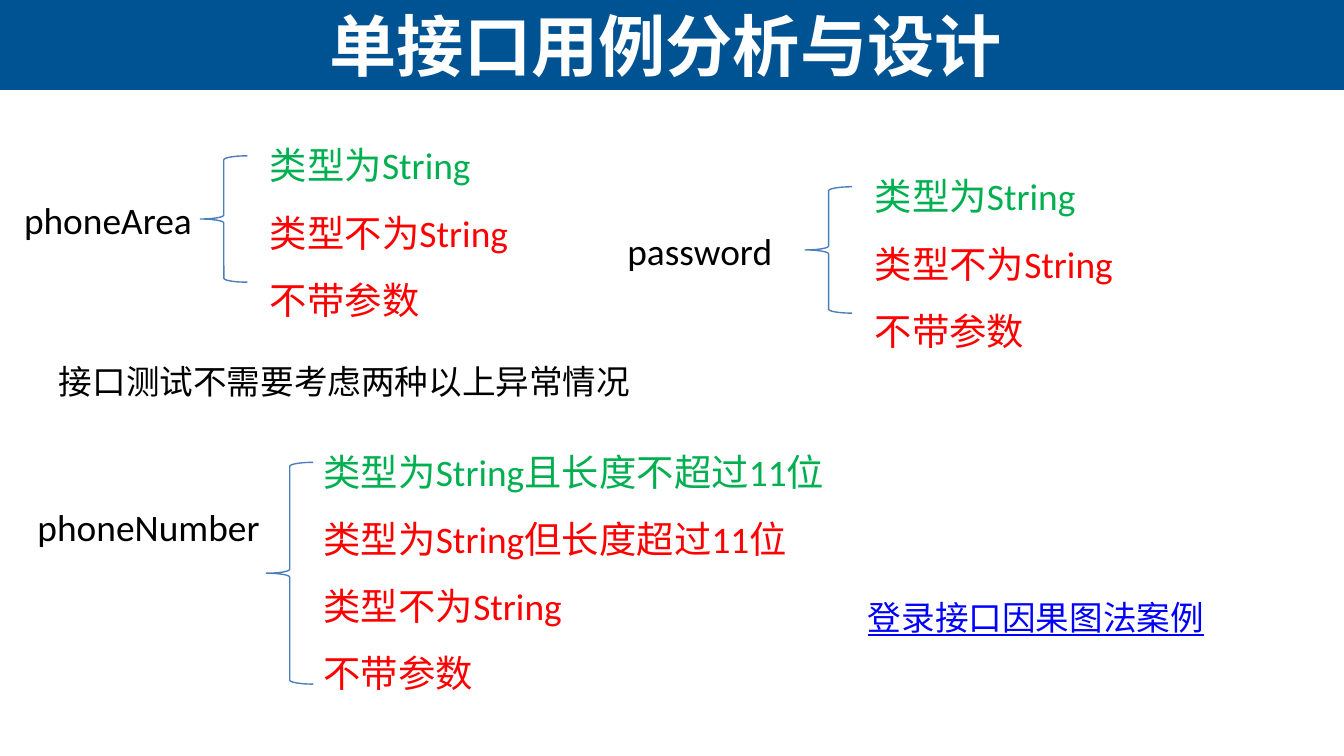
from pptx import Presentation
from pptx.dml.color import RGBColor
from pptx.enum.shapes import MSO_SHAPE
from pptx.enum.text import MSO_ANCHOR, PP_ALIGN
from pptx.util import Pt

COLORS = {"bar": "005392", "white": "FFFFFF", "black": "000000", "brace": "4B7EBC",
          "valid": "00B050", "invalid": "FF0000", "link": "0000FF"}

TITLE = "单接口用例分析与设计"
BASIC_CASES = ["类型为String", "类型不为String", "不带参数"]
NUMBER_CASES = ["类型为String且长度不超过11位", "类型为String但长度超过11位",
                "类型不为String", "不带参数"]

# parameter, label left, label top, brace left, cases left, cases width, cases
# (the first case is the valid one)
GROUPS = [
    ("phoneArea", 5.8, 102.2, 107.3, 137.5, 211, BASIC_CASES),
    ("phoneNumber", 13, 266.4, 142.6, 166.3, 319, NUMBER_CASES),
    ("password", 329, 118.8, 431.3, 461.5, 211, BASIC_CASES),
]
# text, left, top, width, colour, underline
NOTES = [
    ("登录接口因果图法案例", 457.9, 316.1, 196.6, "link", True),
    ("接口测试不需要考虑两种以上异常情况", 24.5, 190.1, 323.3, "black", False),
]

LABEL_W, LABEL_H = 153.4, 31.5
BRACE_W, BRACE_RISE = 25.2, 18.7   # brace starts this far above its label
CASES_RISE = 41.4                  # cases start this far above their label
CASE_H = 36
BRACE_H = {3: 67.7, 4: 118.8}      # by number of cases


def rgb(name):
    return RGBColor.from_string(COLORS[name])


def add_text(s, x, y, w, h, lines, size, font="Calibri", wrap=True, spacing=None):
    """Add a text box; lines are (text, colour) pairs."""
    tf = s.shapes.add_textbox(Pt(x), Pt(y), Pt(w), Pt(h)).text_frame
    tf.word_wrap = wrap
    for i, (text, color) in enumerate(lines):
        p = tf.add_paragraph() if i else tf.paragraphs[0]
        p.text = text
        p.line_spacing = spacing
        p.font.size = Pt(size)
        p.font.name = font
        p.font.color.rgb = rgb(color)
    return tf


def add_group(s, name, x, y, brace_x, cases_x, cases_w, cases):
    add_text(s, x, y, LABEL_W, LABEL_H, [(name, "black")], 20)
    brace = s.shapes.add_shape(MSO_SHAPE.LEFT_BRACE, Pt(brace_x), Pt(y - BRACE_RISE),
                               Pt(BRACE_W), Pt(BRACE_H[len(cases)]))
    brace.shadow.inherit = False
    brace.fill.background()
    brace.line.color.rgb = rgb("brace")
    brace.line.width = Pt(0.75)
    lines = [(c, "invalid" if i else "valid") for i, c in enumerate(cases)]
    add_text(s, cases_x, y - CASES_RISE, cases_w, len(cases) * CASE_H + 8.6,
             lines, 20, spacing=1.5)


prs = Presentation()
prs.slide_width, prs.slide_height = Pt(720), Pt(405)
s = prs.slides.add_slide(prs.slide_layouts[6])

# Title bar
bar = s.shapes.add_shape(MSO_SHAPE.RECTANGLE, 0, 0, prs.slide_width, Pt(48.2))
bar.shadow.inherit = False
bar.fill.solid()
bar.fill.fore_color.rgb = rgb("bar")
bar.line.fill.background()
tf = add_text(s, 1.4, 0, 710.6, 48.2, [(TITLE, "white")], 36, "Arial")
tf.vertical_anchor = MSO_ANCHOR.MIDDLE
p = tf.paragraphs[0]
p.alignment = PP_ALIGN.CENTER
p.font.bold = True

# Parameters with their cases
for group in GROUPS:
    add_group(s, *group)

# Notes
for text, x, y, w, color, underline in NOTES:
    tf = add_text(s, x, y, w, 28.8, [(text, color)], 18, wrap=False)
    if underline:
        tf.paragraphs[0].font.underline = True

prs.save("out.pptx")
